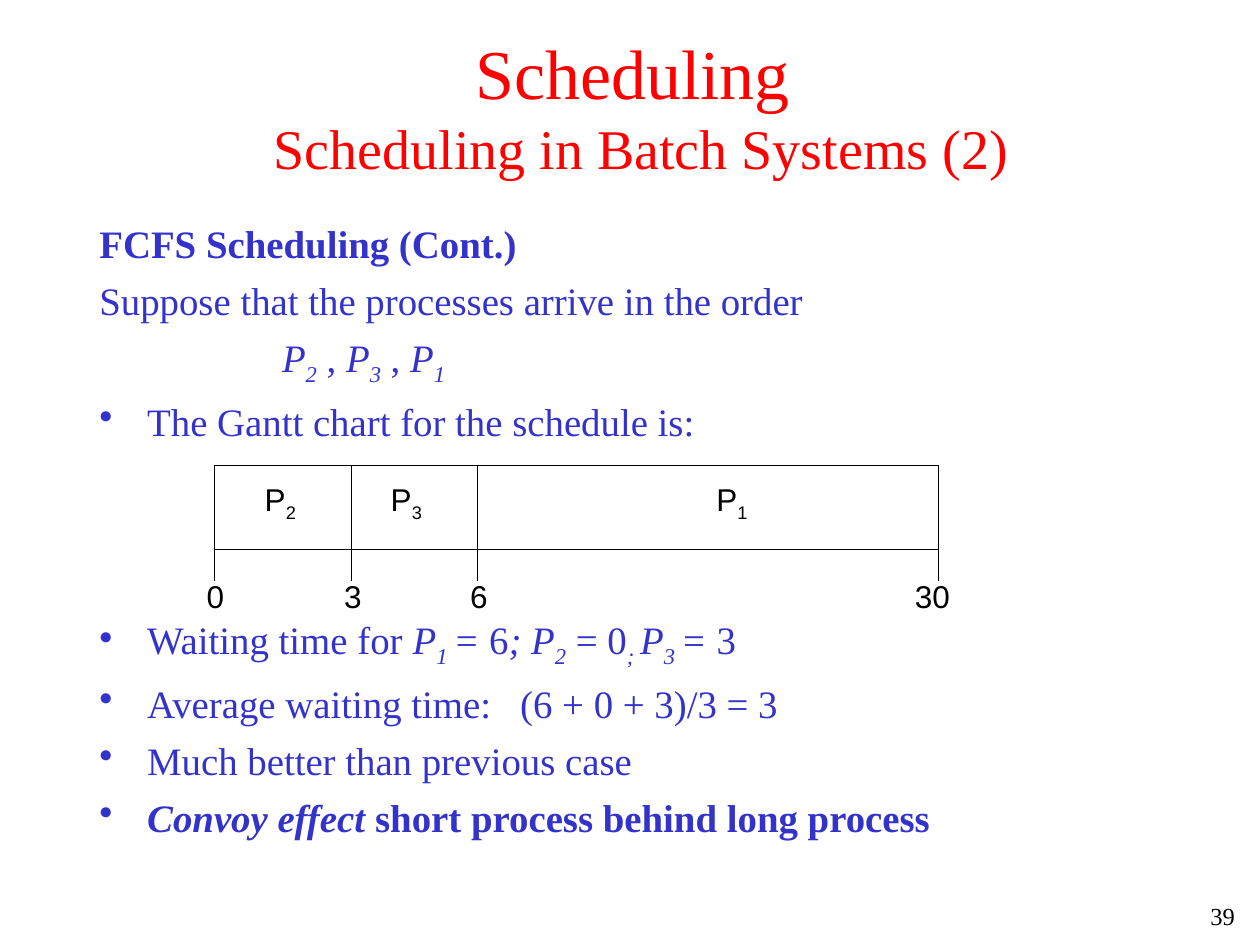
from dataclasses import dataclass

import lxml.etree
import pptx
import pptx.dml.color
import pptx.enum.shapes
import pptx.enum.text
import pptx.oxml.ns
import pptx.util

ALIGN = pptx.enum.text.PP_ALIGN
ANCHOR = pptx.enum.text.MSO_ANCHOR
SERIF, SANS = "Times New Roman", "Arial"
RED, BLUE, BLACK, WHITE = "FF0000", "3333CC", "000000", "FFFFFF"

# Grid of 100 columns by 75 rows over the slide
CELL = pptx.util.Inches(0.1)
COLUMNS, ROWS = 100, 75
BODY_SIZE, BODY_GAP = 22.2, 6
HANGING = 3.8

BAR_TOP, BAR_BOTTOM, TICK_BOTTOM = 36.95, 43.6, 46.1
LABEL_ROW, TIME_ROW = 39.8, 47.3


@dataclass
class Run:
    text: str
    italic: bool = False
    bold: bool = False
    subscript: bool = False
    size: float = BODY_SIZE
    break_after: bool = False


@dataclass
class Line:
    runs: list[Run]
    bullet: bool = False
    indent: float = 0


@dataclass
class Style:
    font: str
    color: str
    align: ALIGN = ALIGN.LEFT
    anchor: ANCHOR = ANCHOR.TOP
    wrap: bool = True


@dataclass
class Burst:
    process: str
    label_column: float


@dataclass
class Tick:
    time: str
    column: float
    label_column: float


def process(number: str, lead: str = "") -> list[Run]:
    return [Run(f"{lead}P", italic=True), Run(number, italic=True, subscript=True)]


BURSTS = [Burst("2", 22.25), Burst("3", 32.25), Burst("1", 58.1)]
TICKS = [Tick("0", 17, 17.1), Tick("3", 27.9, 28),
         Tick("6", 37.9, 38), Tick("30", 74.5, 74)]

TITLE = [Run("Scheduling ", size=40, break_after=True),
         Run("Scheduling in Batch Systems (2)", size=32)]
INTRODUCTION = [
    Line([Run("FCFS Scheduling (Cont.)", bold=True)]),
    Line([Run("Suppose that the processes arrive in the order")]),
    Line([*process("2"), Run(" , "), *process("3"), Run(" , "), *process("1")],
         indent=14.5),
    Line([Run("The Gantt chart for the schedule is:")], bullet=True),
]
RESULTS = [
    Line([Run("Waiting time for "), *process("1 "), Run("=", italic=True),
          Run(" 6"), *process("2", lead="; "), Run(" = 0"),
          Run("; ", italic=True, subscript=True), *process("3 "),
          Run("= ", italic=True), Run("3")], bullet=True),
    Line([Run("Average waiting time:   (6 + 0 + 3)/3 = 3")], bullet=True),
    Line([Run("Much better than previous case")], bullet=True),
    Line([Run("Convoy effect", italic=True, bold=True),
          Run(" short process behind long process", bold=True)], bullet=True),
]


def grid(cells: float) -> int:
    return round(cells * CELL)


def rgb(color: str) -> pptx.dml.color.RGBColor:
    return pptx.dml.color.RGBColor.from_string(color)


def set_indent(paragraph, line: Line) -> None:
    properties = paragraph._p.get_or_add_pPr()
    margin = HANGING if line.bullet else line.indent
    properties.set("marL", str(grid(margin)))
    properties.set("indent", str(grid(-HANGING if line.bullet else 0)))
    if line.bullet:
        bullet = lxml.etree.SubElement(properties, pptx.oxml.ns.qn("a:buChar"))
        bullet.set("char", "•")


def add_run(paragraph, run: Run, style: Style) -> None:
    text_run = paragraph.add_run()
    text_run.text = run.text
    font = text_run.font
    font.name = style.font
    font.size = pptx.util.Pt(run.size)
    font.color.rgb = rgb(style.color)
    font.bold, font.italic = run.bold, run.italic
    if run.subscript:
        text_run._r.get_or_add_rPr().set("baseline", "-25000")
    if run.break_after:
        paragraph.add_line_break()


def add_text(slide, left: float, top: float, width: float, height: float,
             lines: list[Line], style: Style) -> None:
    shape = slide.shapes.add_textbox(grid(left), grid(top), grid(width), grid(height))
    frame = shape.text_frame
    frame.word_wrap = style.wrap
    frame.vertical_anchor = style.anchor
    for index, line in enumerate(lines):
        paragraph = frame.add_paragraph() if index else frame.paragraphs[0]
        set_indent(paragraph, line)
        paragraph.alignment = style.align
        paragraph.space_before = pptx.util.Pt(BODY_GAP if index else 0)
        for run in line.runs:
            add_run(paragraph, run, style)


def add_label(slide, column: float, row: float, runs: list[Run]) -> None:
    """Centre a chart label on a point of the grid."""
    width, height = 4.8, 4
    style = Style(SANS, BLACK, ALIGN.CENTER, ANCHOR.MIDDLE, wrap=False)
    add_text(slide, column - width / 2, row - height / 2, width, height,
             [Line(runs)], style)


def add_vertical(slide, column: float, top: float, bottom: float) -> None:
    connector = slide.shapes.add_connector(
        pptx.enum.shapes.MSO_CONNECTOR.STRAIGHT,
        grid(column), grid(top), grid(column), grid(bottom))
    connector.line.color.rgb = rgb(BLACK)
    connector.line.width = pptx.util.Pt(0.75)
    lxml.etree.SubElement(connector._element.spPr, pptx.oxml.ns.qn("a:effectLst"))


def add_gantt(slide) -> None:
    left, right = TICKS[0].column, TICKS[-1].column
    bar = slide.shapes.add_shape(
        pptx.enum.shapes.MSO_SHAPE.RECTANGLE, grid(left), grid(BAR_TOP),
        grid(right - left), grid(BAR_BOTTOM - BAR_TOP))
    bar.shadow.inherit = False
    bar.fill.solid()
    bar.fill.fore_color.rgb = rgb(WHITE)
    bar.line.color.rgb = rgb(BLACK)
    bar.line.width = pptx.util.Pt(0.75)
    for burst in BURSTS:
        add_label(slide, burst.label_column, LABEL_ROW,
                  [Run("P", size=18), Run(burst.process, subscript=True, size=18)])
    for tick in TICKS[1:-1]:
        add_vertical(slide, tick.column, BAR_TOP, BAR_BOTTOM)
    for tick in TICKS:
        add_vertical(slide, tick.column, BAR_BOTTOM, TICK_BOTTOM)
        add_label(slide, tick.label_column, TIME_ROW, [Run(tick.time, size=18)])


def main() -> None:
    presentation = pptx.Presentation()
    presentation.slide_width = grid(COLUMNS)
    presentation.slide_height = grid(ROWS)
    slide = presentation.slides.add_slide(presentation.slide_layouts[6])

    add_text(slide, 93.6, 71, 5.4, 4, [Line([Run("39", size=14)])],
             Style(SERIF, BLACK, ALIGN.RIGHT))
    add_text(slide, 8.4, 2.1, 85, 12.5, [Line(TITLE)],
             Style(SERIF, RED, ALIGN.CENTER, ANCHOR.MIDDLE))
    body = Style(SERIF, BLUE)
    add_text(slide, 6.9, 16.95, 85, 19.5, INTRODUCTION, body)
    add_text(slide, 6.9, 48.4, 85, 20, RESULTS, body)
    add_gantt(slide)
    presentation.save("out.pptx")


if __name__ == "__main__":
    main()
